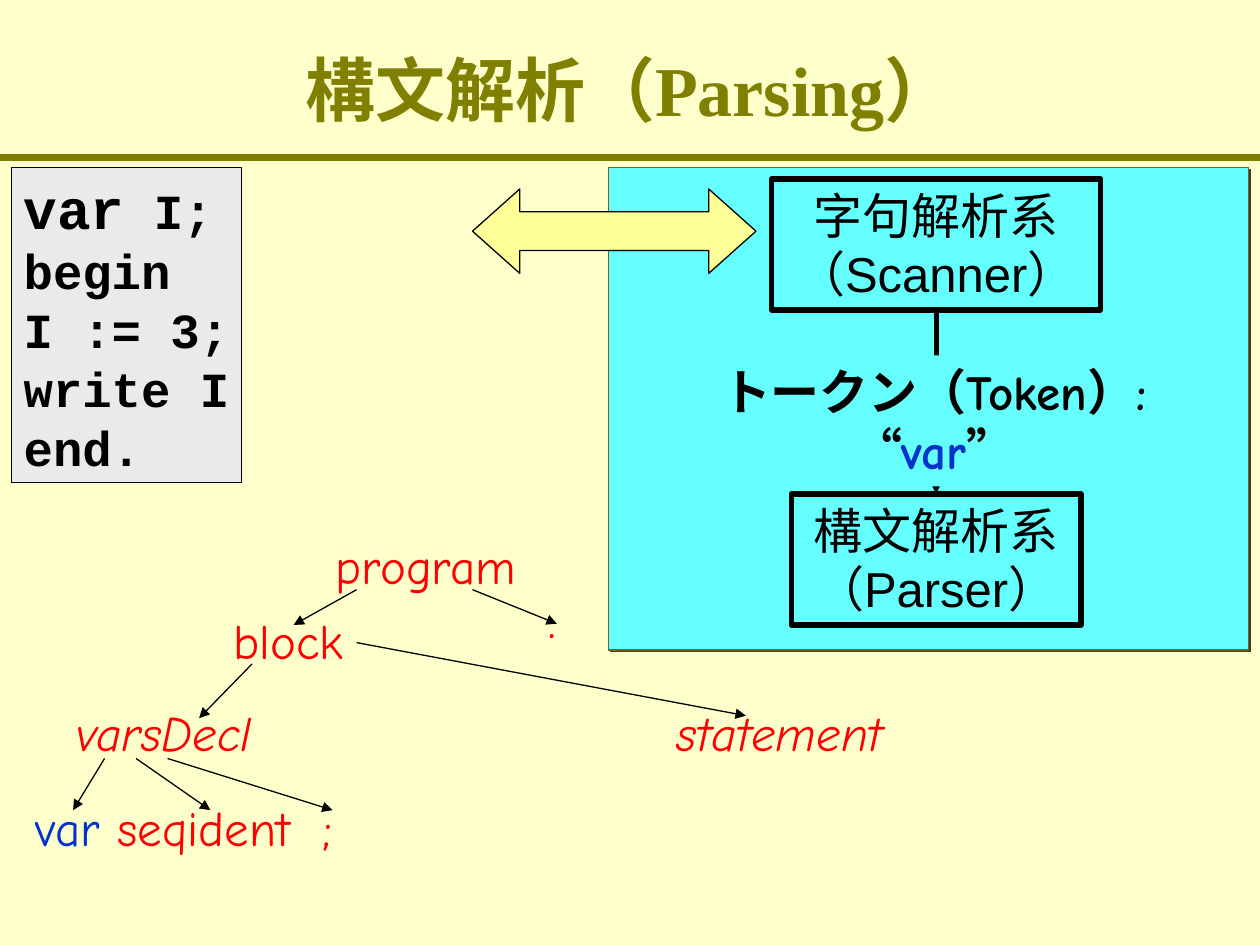
"""Build the slide that explains parsing with a scanner, a parser and a syntax tree."""

from dataclasses import dataclass

from lxml import etree
from pptx import Presentation
from pptx.dml.color import RGBColor
from pptx.enum.shapes import MSO_CONNECTOR, MSO_SHAPE
from pptx.enum.text import MSO_ANCHOR, PP_ALIGN
from pptx.oxml.ns import qn
from pptx.util import Inches, Pt

RECTANGLE = MSO_SHAPE.RECTANGLE
DOUBLE_ARROW = MSO_SHAPE.LEFT_RIGHT_ARROW
STRAIGHT = MSO_CONNECTOR.STRAIGHT
CENTER, LEFT = PP_ALIGN.CENTER, PP_ALIGN.LEFT
TOP, MIDDLE = MSO_ANCHOR.TOP, MSO_ANCHOR.MIDDLE

CREAM = RGBColor(0xFF, 0xFF, 0xCC)
OLIVE = RGBColor(0x80, 0x80, 0x00)
CYAN = RGBColor(0x66, 0xFF, 0xFF)
MOSS = RGBColor(0x66, 0x66, 0x33)
YELLOW = RGBColor(0xFF, 0xFF, 0x99)
GRAY = RGBColor(0xEA, 0xEA, 0xEA)
BLACK = RGBColor(0x00, 0x00, 0x00)
BLUE = RGBColor(0x00, 0x33, 0xCC)
RED = RGBColor(0xFF, 0x00, 0x00)

PIPELINE_CENTER = 7.43
NODE_HEIGHT = 0.57


@dataclass
class Style:
    """Character formatting of a run."""

    font: str
    color: RGBColor = BLACK
    size: float = 28
    bold: bool = False
    italic: bool = False


@dataclass
class Node:
    """Tree label centred on a horizontal position."""

    text: str
    center: float
    top: float
    width: float = 1.92
    color: RGBColor = RED
    italic: bool = False


@dataclass
class Edge:
    """Tree arrow between two points."""

    start: tuple[float, float]
    end: tuple[float, float]


NODES = [
    Node("program", 3.38, 4.2),
    Node("block", 2.29, 4.8),
    Node(".", 4.38, 4.63),
    Node("varsDecl", 1.3, 5.53, italic=True),
    Node("statement", 6.19, 5.53, italic=True),
    Node("var", 0.54, 6.28, 0.8, BLUE),
    Node("seqident", 1.62, 6.28),
    Node(";", 2.6, 6.28, 0.4),
]
EDGES = [
    Edge((2.83, 4.68), (2.33, 4.96)),
    Edge((3.75, 4.68), (4.42, 4.95)),
    Edge((2, 5.27), (1.58, 5.7)),
    Edge((2.83, 5.1), (5.92, 5.68)),
    Edge((0.83, 6.02), (0.58, 6.43)),
    Edge((1.08, 6.02), (1.67, 6.43)),
    Edge((1.33, 6.02), (2.64, 6.43)),
]


def format_run(run, style: Style) -> None:
    """Apply a style to a run."""
    run.font.name = style.font
    run.font.size = Pt(style.size)
    run.font.bold = style.bold
    run.font.italic = style.italic
    run.font.color.rgb = style.color


def write(shape, text: str, style: Style, align=CENTER, anchor=TOP, wrap: bool = True) -> None:
    """Fill a shape with uniformly formatted paragraphs."""
    frame = shape.text_frame
    frame.text = text
    frame.word_wrap = wrap
    frame.vertical_anchor = anchor
    for paragraph in frame.paragraphs:
        paragraph.alignment = align
        for run in paragraph.runs:
            format_run(run, style)


def add_text(slide, left: float, top: float, width: float, height: float):
    """Add an empty text box."""
    return slide.shapes.add_textbox(Inches(left), Inches(top), Inches(width), Inches(height))


def add_box(slide, left: float, top: float, width: float, height: float,
            fill=None, line=None, weight: float = 0.75, kind=RECTANGLE):
    """Add a flat preset shape."""
    shape = slide.shapes.add_shape(kind, Inches(left), Inches(top), Inches(width), Inches(height))
    shape.shadow.inherit = False
    if fill is None:
        shape.fill.background()
    else:
        shape.fill.solid()
        shape.fill.fore_color.rgb = fill
    if line is None:
        shape.line.fill.background()
    else:
        shape.line.color.rgb = line
        shape.line.width = Pt(weight)
    return shape


def add_line(slide, start: tuple[float, float], end: tuple[float, float],
             color: RGBColor = BLACK, weight: float = 0.75, arrow: bool = True):
    """Add a straight connector, with an arrowhead at its end if wanted."""
    connector = slide.shapes.add_connector(STRAIGHT, *(Inches(value) for value in (*start, *end)))
    connector.line.color.rgb = color
    connector.line.width = Pt(weight)
    properties = connector._element.spPr
    if arrow:
        etree.SubElement(properties.find(qn("a:ln")), qn("a:tailEnd"), type="triangle")
    etree.SubElement(properties, qn("a:effectLst"))
    return connector


def add_hard_shadow(shape) -> None:
    """Give a shape a thin unblurred shadow to the lower right."""
    effects = shape._element.spPr.find(qn("a:effectLst"))
    shadow = etree.SubElement(effects, qn("a:outerShdw"), dist=str(Pt(1.4)), dir="2700000")
    etree.SubElement(shadow, qn("a:srgbClr"), val="3D3D1F")


def add_stage(slide, text: str, top: float, width: float):
    """Add a framed stage of the pipeline."""
    stage = add_box(slide, PIPELINE_CENTER - width / 2, top, width, 1.04, line=BLACK, weight=3)
    write(stage, text, Style("Arial"), wrap=False)
    return stage


def add_pipeline(slide) -> None:
    """Draw the scanner, the parser and the token passed between them."""
    parser = add_stage(slide, "構文解析系\n（Parser）", 3.92, 2.3)
    scanner = add_stage(slide, "字句解析系\n（Scanner）", 1.42, 2.61)
    flow = add_line(slide, (PIPELINE_CENTER, 2.46), (PIPELINE_CENTER, 3.92), weight=3)
    flow.begin_connect(scanner, 2)
    flow.end_connect(parser, 0)

    token = add_box(slide, 5.25, 2.82, 4.33, 1.04, fill=CYAN)
    write(token, "トークン（Token）: “", Style("Comic Neue", bold=True))
    for text, color in (("var", BLUE), ("”", BLACK)):
        run = token.text_frame.paragraphs[0].add_run()
        run.text = text
        format_run(run, Style("Comic Neue", color, bold=True))


def add_tree(slide) -> None:
    """Draw the syntax tree."""
    for node in NODES:
        label = add_text(slide, node.center - node.width / 2, node.top, node.width, NODE_HEIGHT)
        write(label, node.text, Style("Comic Neue", node.color, italic=node.italic))
    for edge in EDGES:
        add_line(slide, edge.start, edge.end)


def add_source_code(slide) -> None:
    """Draw the sample program."""
    code = add_box(slide, 0.09, 1.33, 1.83, 2.5, fill=GRAY, line=BLACK)
    style = Style("Courier New", bold=True)
    write(code, "var\nbegin\nI := 3;\nwrite I\nend.", style, LEFT, wrap=False)
    declaration = code.text_frame.paragraphs[0]
    declaration.runs[0].font.size = Pt(32)
    variable = declaration.add_run()
    variable.text = " I;"
    format_run(variable, style)


def main() -> None:
    """Build and save the presentation."""
    presentation = Presentation()
    presentation.slide_width, presentation.slide_height = Inches(10), Inches(7.5)
    slide = presentation.slides.add_slide(presentation.slide_layouts[6])
    slide.background.fill.solid()
    slide.background.fill.fore_color.rgb = CREAM

    add_line(slide, (0, 1.25), (10, 1.25), OLIVE, 4.5, arrow=False)
    add_hard_shadow(add_box(slide, 4.83, 1.33, 5.08, 3.83, fill=CYAN, line=MOSS))
    title = add_text(slide, 0, 0.08, 10, 1.25)
    write(title, "構文解析（Parsing）", Style("Times New Roman", OLIVE, 40, bold=True), anchor=MIDDLE)
    add_pipeline(slide)
    exchange = add_box(slide, 3.75, 1.5, 2.25, 0.67, YELLOW, BLACK, kind=DOUBLE_ARROW)
    exchange.adjustments[0], exchange.adjustments[1] = 0.46, 0.56
    add_tree(slide)
    add_source_code(slide)
    presentation.save("out.pptx")


if __name__ == "__main__":
    main()
